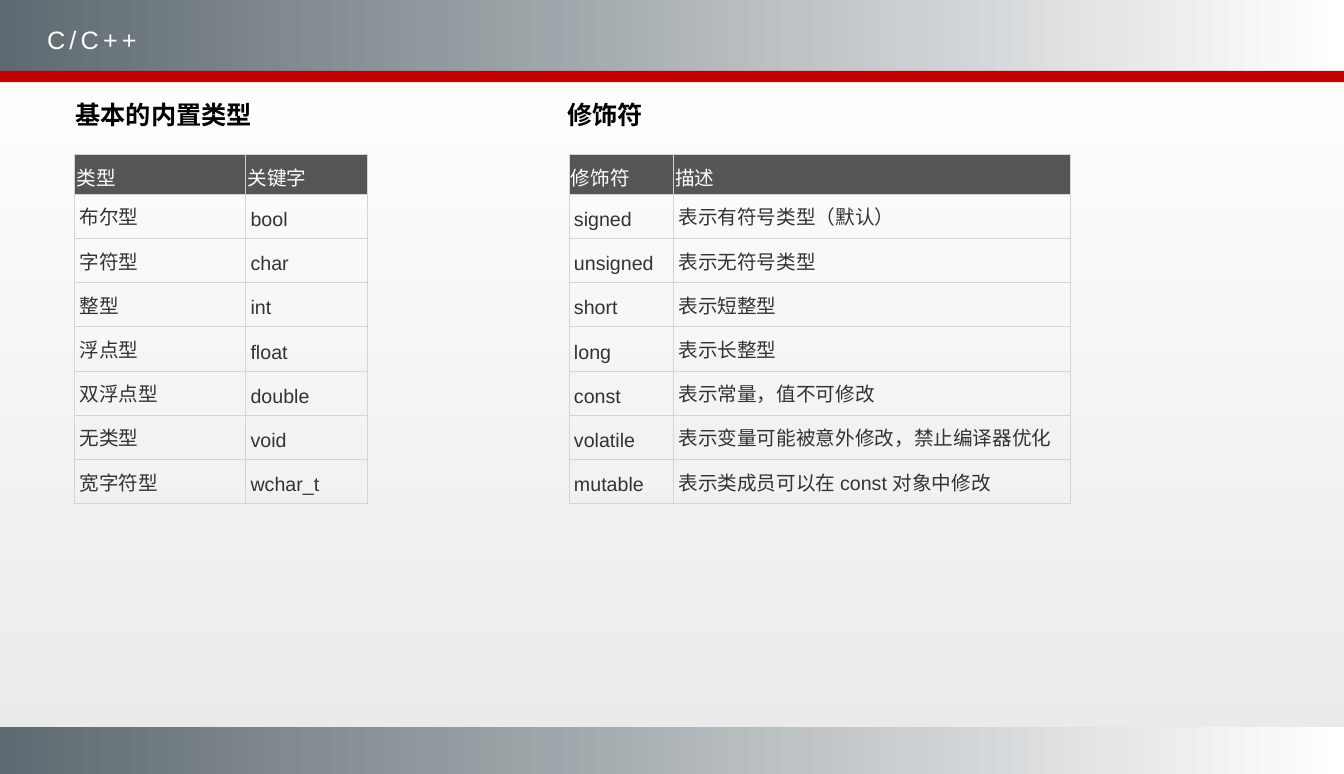
import dataclasses
import typing

import lxml.etree
import pptx
import pptx.dml.color
import pptx.enum.shapes
import pptx.oxml.ns
import pptx.slide
import pptx.table
import pptx.text.text
import pptx.util

Pt = pptx.util.Pt


@dataclasses.dataclass(frozen=True)
class Theme:
    font: str = "Arial"
    heading_size: float = 18
    table_size: float = 14
    body_leading: float = 21
    letter_spacing: float = 3
    border_width: float = 0.75
    white: str = "FFFFFF"
    black: str = "000000"
    slate: str = "5E6A71"
    red: str = "C00000"
    page_grey: str = "EAEAEA"
    header_fill: str = "555555"
    body_text: str = "333333"
    border: str = "D4D4D4"


@dataclasses.dataclass(frozen=True)
class Band:
    top: float
    height: float
    start: str
    end: str


@dataclasses.dataclass(frozen=True)
class Heading:
    text: str
    left: float
    top: float
    width: float
    color: str
    bold: bool = True
    spacing: float = 0


@dataclasses.dataclass(frozen=True)
class Grid:
    left: float
    columns: tuple[float, ...]
    rows: tuple[tuple[str, ...], ...]


THEME = Theme()
SLIDE_WIDTH, SLIDE_HEIGHT = 960, 553
HEADING_TOP, HEADING_HEIGHT = 67.7, 29
GRID_TOP, HEADER_HEIGHT, ROW_HEIGHT = 110.3, 28.5, 31.6
HEADER_INSETS = (1.44, 5.76)
BODY_INSETS = (3.6, 5.04)

BANDS = (
    Band(519.5, 33.5, THEME.slate, THEME.white),
    Band(0, 50.7, THEME.slate, THEME.white),
    Band(50.7, 8, THEME.red, THEME.red),
)

HEADINGS = (
    Heading("C/C++", 26.6, 13.9, 895, THEME.white, False, THEME.letter_spacing),
    Heading("基本的内置类型", 46.8, HEADING_TOP, 320, THEME.black),
    Heading("修饰符", 398.2, HEADING_TOP, 400, THEME.black),
)

GRIDS = (
    Grid(53.2, (122.2, 87.2), (
        ("类型", "关键字"),
        ("布尔型", "bool"),
        ("字符型", "char"),
        ("整型", "int"),
        ("浮点型", "float"),
        ("双浮点型", "double"),
        ("无类型", "void"),
        ("宽字符型", "wchar_t"),
    )),
    Grid(406.4, (74.6, 283.4), (
        ("修饰符", "描述"),
        ("signed", "表示有符号类型（默认）"),
        ("unsigned", "表示无符号类型"),
        ("short", "表示短整型"),
        ("long", "表示长整型"),
        ("const", "表示常量，值不可修改"),
        ("volatile", "表示变量可能被意外修改，禁止编译器优化"),
        ("mutable", "表示类成员可以在 const 对象中修改"),
    )),
)


def rgb(color: str) -> pptx.dml.color.RGBColor:
    return pptx.dml.color.RGBColor.from_string(color)


def fill_gradient(fill: typing.Any, start: str, end: str, angle: float) -> None:
    fill.gradient()
    fill.gradient_angle = angle
    for stop, color in zip(fill.gradient_stops, (start, end)):
        stop.color.rgb = rgb(color)


def style_font(paragraph: typing.Any, size: float, color: str, bold: bool = False) -> None:
    font = paragraph.font
    font.name = THEME.font
    font.size = Pt(size)
    font.bold = bold
    font.color.rgb = rgb(color)


def draw_band(slide: pptx.slide.Slide, band: Band) -> None:
    bar = slide.shapes.add_shape(
        pptx.enum.shapes.MSO_SHAPE.RECTANGLE,
        Pt(0), Pt(band.top), Pt(SLIDE_WIDTH), Pt(band.height),
    )
    bar.shadow.inherit = False
    bar.line.fill.background()
    if band.start == band.end:
        bar.fill.solid()
        bar.fill.fore_color.rgb = rgb(band.start)
    else:
        fill_gradient(bar.fill, band.start, band.end, 0)


def draw_heading(slide: pptx.slide.Slide, heading: Heading) -> None:
    frame = slide.shapes.add_textbox(
        Pt(heading.left), Pt(heading.top), Pt(heading.width), Pt(HEADING_HEIGHT)
    ).text_frame
    frame.word_wrap = True
    paragraph = frame.paragraphs[0]
    run = paragraph.add_run()
    run.text = heading.text
    style_font(paragraph, THEME.heading_size, heading.color, heading.bold)
    if heading.spacing:
        run._r.get_or_add_rPr().set("spc", str(round(heading.spacing * 100)))


def draw_borders(cell: pptx.table._Cell) -> None:
    qn = pptx.oxml.ns.qn
    properties = cell._tc.get_or_add_tcPr()
    for edge in ("a:lnL", "a:lnR", "a:lnT", "a:lnB"):
        line = lxml.etree.SubElement(properties, qn(edge), w=str(Pt(THEME.border_width)))
        solid = lxml.etree.SubElement(line, qn("a:solidFill"))
        lxml.etree.SubElement(solid, qn("a:srgbClr"), val=THEME.border)


def draw_cell(cell: pptx.table._Cell, text: str, is_header: bool) -> None:
    side, end = HEADER_INSETS if is_header else BODY_INSETS
    cell.margin_left = cell.margin_right = Pt(side)
    cell.margin_top = cell.margin_bottom = Pt(end)
    cell.text = text
    paragraph = cell.text_frame.paragraphs[0]
    draw_borders(cell)
    if is_header:
        cell.fill.solid()
        cell.fill.fore_color.rgb = rgb(THEME.header_fill)
    else:
        cell.fill.background()
        paragraph.line_spacing = Pt(THEME.body_leading)
    style_font(paragraph, THEME.table_size, THEME.white if is_header else THEME.body_text)


def draw_grid(slide: pptx.slide.Slide, grid: Grid) -> None:
    height = HEADER_HEIGHT + ROW_HEIGHT * (len(grid.rows) - 1)
    table = slide.shapes.add_table(
        len(grid.rows), len(grid.columns),
        Pt(grid.left), Pt(GRID_TOP), Pt(sum(grid.columns)), Pt(height),
    ).table
    table.first_row = table.horz_banding = False
    for column, width in zip(table.columns, grid.columns):
        column.width = Pt(width)
    for row_index, (row, texts) in enumerate(zip(table.rows, grid.rows)):
        is_header = row_index == 0
        row.height = Pt(HEADER_HEIGHT if is_header else ROW_HEIGHT)
        for cell, text in zip(row.cells, texts):
            draw_cell(cell, text, is_header)


def main() -> None:
    deck = pptx.Presentation()
    deck.slide_width, deck.slide_height = Pt(SLIDE_WIDTH), Pt(SLIDE_HEIGHT)
    slide = deck.slides.add_slide(deck.slide_layouts[6])
    fill_gradient(slide.background.fill, THEME.page_grey, THEME.white, 90)
    for band in BANDS:
        draw_band(slide, band)
    for heading in HEADINGS:
        draw_heading(slide, heading)
    for grid in GRIDS:
        draw_grid(slide, grid)
    deck.save("out.pptx")


if __name__ == "__main__":
    main()
